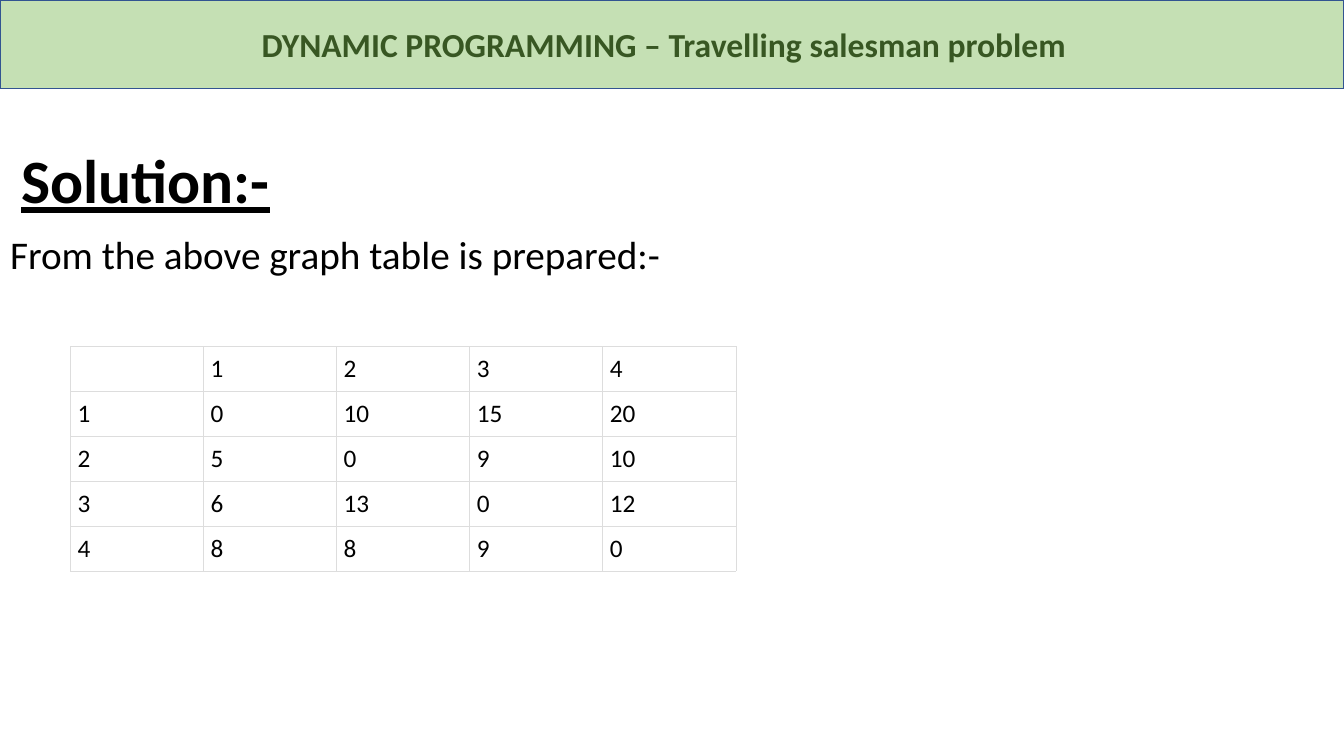
from dataclasses import dataclass

from lxml import etree
from pptx import Presentation
from pptx.dml.color import RGBColor
from pptx.enum.shapes import MSO_SHAPE
from pptx.enum.text import MSO_ANCHOR, MSO_AUTO_SIZE, PP_ALIGN
from pptx.oxml.ns import qn
from pptx.util import Emu, Pt

RECTANGLE = MSO_SHAPE.RECTANGLE
TOP, MIDDLE = MSO_ANCHOR.TOP, MSO_ANCHOR.MIDDLE
LEFT, CENTER = PP_ALIGN.LEFT, PP_ALIGN.CENTER
NO_AUTOFIT = MSO_AUTO_SIZE.NONE
EMU_PER_PX = 9144
SLIDE_WIDTH, SLIDE_HEIGHT = 1333, 750

DISTANCES = [
    ["", "1", "2", "3", "4"],
    ["1", "0", "10", "15", "20"],
    ["2", "5", "0", "9", "10"],
    ["3", "6", "13", "0", "12"],
    ["4", "8", "8", "9", "0"],
]


@dataclass(frozen=True)
class Theme:
    font: str = "Calibri"
    text: str = "000000"
    banner_fill: str = "C5E0B4"
    banner_line: str = "325491"
    banner_text: str = "385723"
    grid: str = "DDDDDD"
    title_size: int = 44
    body_size: int = 28
    banner_size: int = 24
    cell_size: int = 18
    banner_line_width: float = 1
    grid_width: float = 0.6


def px(length):
    return Emu(length * EMU_PER_PX)


def write_text(frame, text, *, font, size, color, bold=False, underline=False,
               align=LEFT, line_spacing=1.0, space_before=0):
    paragraph = frame.paragraphs[0]
    paragraph.alignment = align
    paragraph.line_spacing = line_spacing
    paragraph.space_before = Pt(space_before)
    run = paragraph.add_run()
    run.text = text
    run.font.name = font
    run.font.size = Pt(size)
    run.font.bold = bold
    run.font.underline = underline
    run.font.color.rgb = RGBColor.from_string(color)


class SlideBuilder:
    def __init__(self, slide, theme):
        self.slide = slide
        self.theme = theme

    def placeholder(self, index, box, text, anchor, **text_format):
        shape = self.slide.placeholders[index]
        shape.left, shape.top, shape.width, shape.height = map(px, box)
        frame = shape.text_frame
        frame.word_wrap = True
        frame.auto_size = NO_AUTOFIT
        frame.vertical_anchor = anchor
        write_text(frame, text, font=self.theme.font, color=self.theme.text,
                   line_spacing=0.9, **text_format)
        return shape

    def title(self, box, text):
        self.placeholder(0, box, text, MIDDLE, size=self.theme.title_size,
                         bold=True, underline=True)

    def body(self, box, text):
        shape = self.placeholder(1, box, text, TOP, size=self.theme.body_size,
                                 space_before=10)
        properties = shape.text_frame.paragraphs[0]._p.get_or_add_pPr()
        properties.set("marL", "0")
        properties.set("indent", "0")
        etree.SubElement(properties, qn("a:buNone"))

    def banner(self, box, text, right_margin):
        theme = self.theme
        shape = self.slide.shapes.add_shape(RECTANGLE, *map(px, box))
        shape.shadow.inherit = False
        shape.fill.solid()
        shape.fill.fore_color.rgb = RGBColor.from_string(theme.banner_fill)
        shape.line.color.rgb = RGBColor.from_string(theme.banner_line)
        shape.line.width = Pt(theme.banner_line_width)
        frame = shape.text_frame
        frame.word_wrap = True
        frame.vertical_anchor = MIDDLE
        frame.margin_right = px(right_margin)
        write_text(frame, text, font=theme.font, size=theme.banner_size,
                   color=theme.banner_text, bold=True, align=CENTER)

    def table(self, left, top, column_width, row_height, margin, rows):
        row_count, column_count = len(rows), len(rows[0])
        table = self.slide.shapes.add_table(
            row_count, column_count, px(left), px(top),
            px(column_width * column_count), px(row_height * row_count)).table
        table.first_row = False
        table.horz_banding = False
        for row_index, values in enumerate(rows):
            for column_index, value in enumerate(values):
                self.cell(table.cell(row_index, column_index), value, margin)

    def cell(self, cell, value, margin):
        theme = self.theme
        cell.margin_left = cell.margin_right = px(margin)
        cell.margin_top = cell.margin_bottom = px(margin)
        if value:
            write_text(cell.text_frame, value, font=theme.font,
                       size=theme.cell_size, color=theme.text)
        properties = cell._tc.get_or_add_tcPr()
        for side in ("a:lnL", "a:lnR", "a:lnT", "a:lnB"):
            border = etree.SubElement(properties, qn(side),
                                      w=str(Pt(theme.grid_width)))
            fill = etree.SubElement(border, qn("a:solidFill"))
            etree.SubElement(fill, qn("a:srgbClr"), val=theme.grid)
        cell.fill.background()


def main():
    presentation = Presentation()
    presentation.slide_width = px(SLIDE_WIDTH)
    presentation.slide_height = px(SLIDE_HEIGHT)
    slide = presentation.slides.add_slide(presentation.slide_layouts[1])
    builder = SlideBuilder(slide, Theme())
    builder.title((11, 110, 1150, 145), "Solution:-")
    builder.body((0, 229, 1312, 510), "From the above graph table is prepared:-")
    builder.banner((0, 0, SLIDE_WIDTH, 88),
                   "DYNAMIC PROGRAMMING – Travelling salesman problem",
                   right_margin=26)
    builder.table(70, 344, column_width=132, row_height=44, margin=7,
                  rows=DISTANCES)
    presentation.save("out.pptx")


if __name__ == "__main__":
    main()
